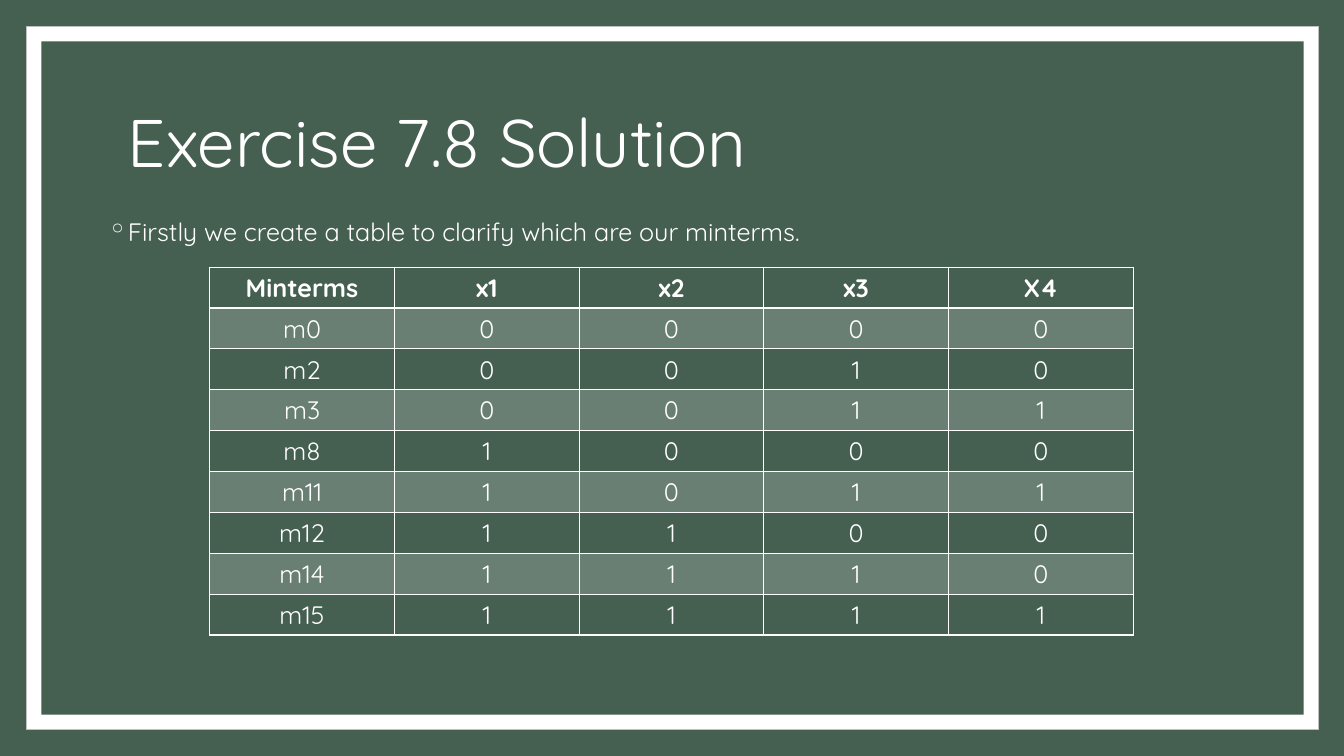
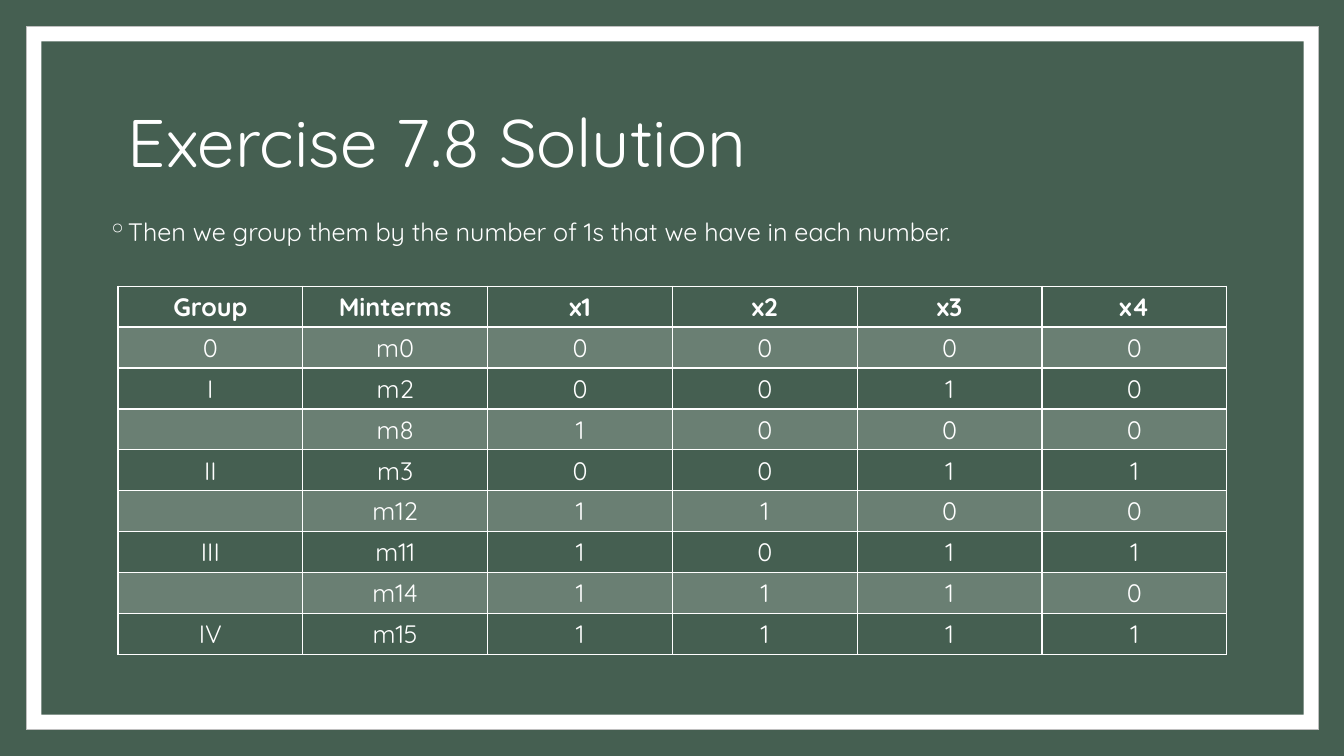
from lxml import etree
from pptx import Presentation
from pptx.dml.color import RGBColor
from pptx.enum.shapes import MSO_SHAPE as Shape
from pptx.enum.text import MSO_ANCHOR as Anchor, PP_ALIGN as Align
from pptx.oxml.ns import qn
from pptx.util import Pt

PX = 9144  # EMU: 100 px to the inch
GREEN, WHITE, GREY = "455F51", "FFFFFF", "BFBFBF"
FONT = "Quicksand"
TITLE = "Exercise 7.8 Solution"
COLUMN_SPAN, COLUMNS_AT_FULL_SPAN = 1100, 6
TABLE_HEIGHT = 365

MINTERMS = [0, 2, 3, 8, 11, 12, 14, 15]
GROUPS = {"0": [0], "I": [2, 8], "II": [3, 12], "III": [11, 14], "IV": [15]}


def px(*lengths):
    return [length * PX for length in lengths]


def rgb(color):
    return RGBColor.from_string(color)


def style_font(paragraph, size, bold=False):
    font = paragraph.font
    font.name, font.size, font.bold = FONT, Pt(size), bold
    font.color.rgb = rgb(WHITE)


def add_panel(slide, box, color, outline=None):
    panel = slide.shapes.add_shape(Shape.RECTANGLE, *px(*box))
    panel.shadow.inherit = False
    panel.fill.solid()
    panel.fill.fore_color.rgb = rgb(color)
    if outline:
        panel.line.color.rgb = rgb(outline)
        panel.line.width = Pt(0.5)
    else:
        panel.line.fill.background()


def add_text(slide, box, text, size, line_spacing, anchor=Anchor.TOP):
    frame = slide.shapes.add_textbox(*px(*box)).text_frame
    frame.word_wrap = True
    frame.vertical_anchor = anchor
    paragraph = frame.paragraphs[0]
    paragraph.text = text
    paragraph.line_spacing = line_spacing
    style_font(paragraph, size)
    return paragraph


def add_bullet_line(slide, text):
    paragraph = add_text(slide, (97, 207, 1100, 150), text, 18, 1.1)
    paragraph.space_before = Pt(9)
    properties = paragraph.font._element.getparent()
    properties.set("marL", str(20 * PX))
    properties.set("indent", str(-20 * PX))
    bullet_color = etree.Element(qn("a:buClr"))
    etree.SubElement(bullet_color, qn("a:srgbClr"), val=WHITE)
    bullet = etree.Element(qn("a:buChar"), char="◦")
    default_font = properties.find(qn("a:defRPr"))
    default_font.addprevious(bullet_color)
    default_font.addprevious(bullet)


def set_borders(cell, top, bottom):
    """Draw white cell borders, with top and bottom widths in points."""
    properties = cell._tc.get_or_add_tcPr()
    for side, width in (("L", 1), ("R", 1), ("T", top), ("B", bottom)):
        line = etree.SubElement(properties, qn(f"a:ln{side}"), w=str(Pt(width)))
        fill = etree.SubElement(line, qn("a:solidFill"))
        etree.SubElement(fill, qn("a:srgbClr"), val=WHITE)


def fill_band(cell):
    """Tint the cell with white at 20 % opacity."""
    cell.fill.solid()
    cell.fill.fore_color.rgb = rgb(WHITE)
    color = cell._tc.tcPr.find(qn("a:solidFill")).find(qn("a:srgbClr"))
    etree.SubElement(color, qn("a:alpha"), val="20000")


def add_truth_table(slide, left, top, rows):
    columns = len(rows[0])
    width = COLUMN_SPAN * columns // COLUMNS_AT_FULL_SPAN
    table = slide.shapes.add_table(
        len(rows), columns, *px(left, top, width, TABLE_HEIGHT)).table
    table.first_row = table.horz_banding = False
    for r, row in enumerate(rows):
        for c, value in enumerate(row):
            cell = table.cell(r, c)
            cell.text = value
            paragraph = cell.text_frame.paragraphs[0]
            paragraph.alignment = Align.CENTER
            style_font(paragraph, 18, bold=r == 0)
            set_borders(cell, top=2 if r == 1 else 1, bottom=2 if r == 0 else 1)
            if r % 2:
                fill_band(cell)
            else:
                cell.fill.background()


def minterm_row(number):
    return [f"m{number}", *f"{number:04b}"]


def grouped_rows():
    """List the minterms by group, naming each group on its first row."""
    return [["" if i else group, *minterm_row(number)]
            for group, numbers in GROUPS.items()
            for i, number in enumerate(numbers)]


def add_solution_slide(prs, explanation, left, top, rows):
    slide = prs.slides.add_slide(prs.slide_layouts[6])
    add_panel(slide, (26, 26, 1282, 698), WHITE, GREY)
    add_panel(slide, (41, 41, 1252, 668), GREEN)
    add_text(slide, (117, 70, 1100, 150), TITLE, 48, 0.9, Anchor.MIDDLE)
    add_truth_table(slide, left, top, rows)
    add_bullet_line(slide, explanation)


def main():
    prs = Presentation()
    prs.slide_width, prs.slide_height = px(1333, 750)
    background = prs.slide_master.background.fill
    background.solid()
    background.fore_color.rgb = rgb(GREEN)

    add_solution_slide(
        prs, "Firstly we create a table to clarify which are our minterms.",
        208, 265,
        [["Minterms", "x1", "x2", "x3", "X4"], *map(minterm_row, MINTERMS)])
    add_solution_slide(
        prs, "Then we group them by the number of 1s that we have in each number.",
        117, 284,
        [["Group", "Minterms", "x1", "x2", "x3", "x4"], *grouped_rows()])
    prs.save("out.pptx")


if __name__ == "__main__":
    main()
